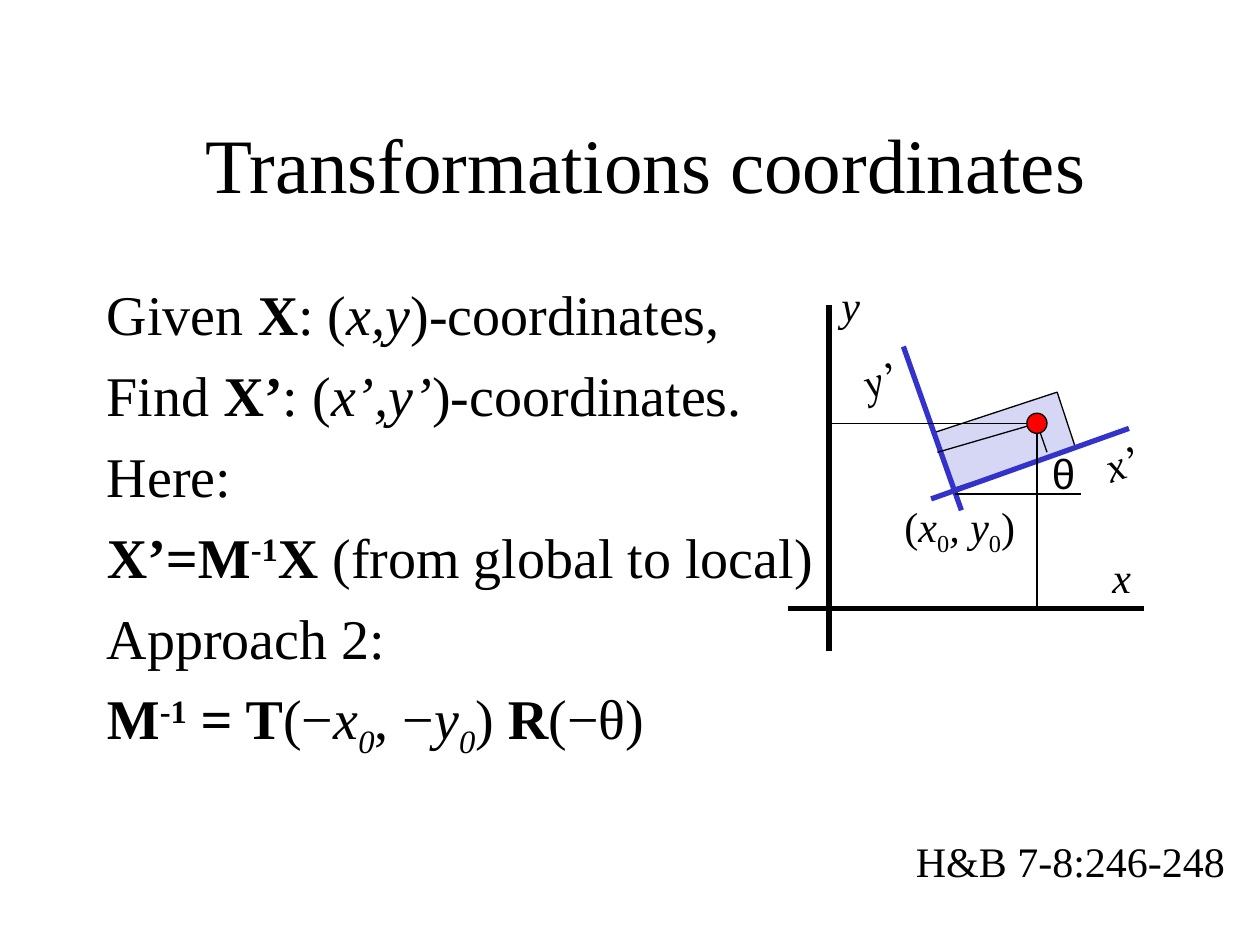
from pptx import Presentation
from pptx.dml.color import RGBColor
from pptx.enum.shapes import MSO_CONNECTOR as Link, MSO_SHAPE as Kind
from pptx.enum.text import MSO_ANCHOR as Anchor, MSO_AUTO_SIZE as Fit, PP_ALIGN as Align
from pptx.oxml.ns import qn
from pptx.util import Inches, Pt
from lxml import etree

BLACK, BLUE, PALE, RED = "000000", "3333CC", "D6D6F5", "FF0000"
SHIFT = {"^": "30000", "_": "-25000"}


def color(text):
    return RGBColor.from_string(text)


class Page:
    """Draws styled elements on one slide."""

    def __init__(self, deck):
        self.font = "Times New Roman"
        self.slide = deck.slides.add_slide(deck.slide_layouts[5])
        self.shapes = self.slide.shapes

    def style(self, para, size, font=None):
        para.font.name = font or self.font
        para.font.size = Pt(size)
        para.font.color.rgb = color(BLACK)

    def fill(self, para, parts):
        for text, marks in parts:
            run = para.add_run()
            run.text = text
            if "b" in marks:
                run.font.bold = True
            if "i" in marks:
                run.font.italic = True
            for mark in SHIFT:
                if mark in marks:
                    run._r.get_or_add_rPr().set("baseline", SHIFT[mark])

    def title(self, text, *box):
        shape = self.shapes.title
        shape.left, shape.top, shape.width, shape.height = map(Inches, box)
        frame = shape.text_frame
        frame.text = text
        frame.vertical_anchor = Anchor.MIDDLE
        para = frame.paragraphs[0]
        para.alignment = Align.CENTER
        self.style(para, 44)

    def body(self, rows, *box):
        frame = self.shapes.add_textbox(*map(Inches, box)).text_frame
        frame.word_wrap = True
        for num, parts in enumerate(rows):
            para = frame.add_paragraph() if num else frame.paragraphs[0]
            para.space_before = Pt(7.8)
            self.style(para, 32)
            self.fill(para, parts)

    def label(self, parts, *box, turn=0, font=None):
        shape = self.shapes.add_textbox(*map(Inches, box))
        shape.rotation = turn
        frame = shape.text_frame
        frame.word_wrap = False
        frame.auto_size = Fit.SHAPE_TO_FIT_TEXT
        para = frame.paragraphs[0]
        self.style(para, 24, font)
        self.fill(para, parts)

    def line(self, start, end, width=0.75, tone=BLACK):
        link = self.shapes.add_connector(Link.STRAIGHT, *map(Inches, start + end))
        link.line.width = Pt(width)
        link.line.color.rgb = color(tone)
        etree.SubElement(link._element.spPr, qn("a:effectLst"))

    def shape(self, kind, tone, *box, turn=0):
        shape = self.shapes.add_shape(kind, *map(Inches, box))
        shape.rotation = turn
        shape.shadow.inherit = False
        shape.fill.solid()
        shape.fill.fore_color.rgb = color(tone)
        shape.line.width = Pt(0.75)
        shape.line.color.rgb = color(BLACK)


def main():
    deck = Presentation()
    deck.slide_width, deck.slide_height = Inches(10), Inches(7.5)
    page = Page(deck)

    page.body([
        [("Given ", ""), ("X", "b"), (": (", ""), ("x,y", "i"), (")-coordinates,", "")],
        [("Find ", ""), ("X’", "b"), (": (", ""), ("x’,y’", "i"), (")-coordinates.", "")],
        [("Here:", "")],
        [("X’=M", "b"), ("-1", "b^"), ("X ", "b"), ("(from global to local)", "")],
        [("Approach 2:", "")],
        [("M", "b"), ("-1", "b^"), (" = T", "b"), ("(−", ""), ("x", "i"), ("0", "i_"),
         (", −", ""), ("y", "i"), ("0", "i_"), (")", ""), (" R", "b"), ("(−θ)", "")],
    ], 0.75, 2.17, 8.5, 2.61)
    page.shape(Kind.RECTANGLE, PALE, 7.47, 3.26, 1.02, 0.47, turn=-18.2)
    page.title("Transformations coordinates", 0.75, 0.67, 8.75, 1.25)

    page.line((6.25, 4.83), (9.08, 4.83), 3)
    page.line((6.58, 5.17), (6.58, 2.42), 3)
    page.label([("x", "i")], 8.73, 4.33, 0.35, 0.5)
    page.label([("y", "i")], 6.58, 2.17, 0.35, 0.5)

    page.line((7.39, 3.96), (8.96, 3.4), 3, BLUE)
    page.line((7.63, 4.05), (7.17, 2.75), 3, BLUE)
    page.label([("x’", "i")], 8.67, 3.42, 0.46, 0.5, turn=-18.9)
    page.label([("y’", "i")], 6.75, 2.75, 0.46, 0.5, turn=-18.9)

    page.line((7.58, 3.92), (8.58, 3.92))
    page.label([("θ", "")], 8.25, 3.5, 0.38, 0.5, font="Arial")
    page.label([("(", ""), ("x", "i"), ("0", "_"), (", y", "i"), ("0", "_"), (")", "")],
               7.08, 3.92, 1.11, 0.5)

    point = (8.23, 3.36)
    for foot in ((6.57, 3.36), (8.23, 4.85), (7.44, 3.59), (8.31, 3.59)):
        page.line(point, foot)
    page.shape(Kind.OVAL, RED, point[0] - 0.08, point[1] - 0.08, 0.16, 0.16)
    page.label([("H&B 7-8:246-248", "")], 7.17, 6.58, 2.68, 0.51)

    deck.save("out.pptx")


if __name__ == "__main__":
    main()
